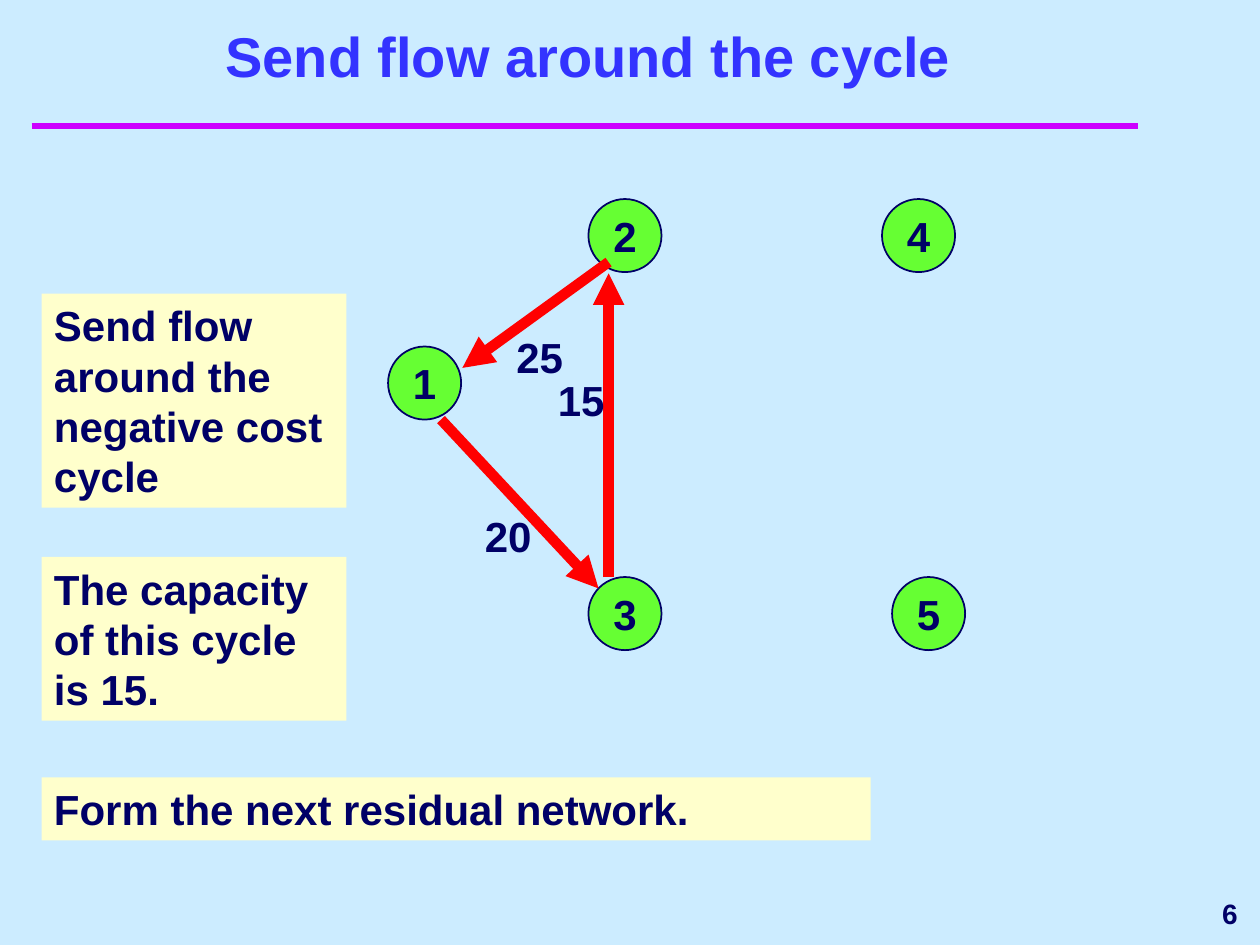
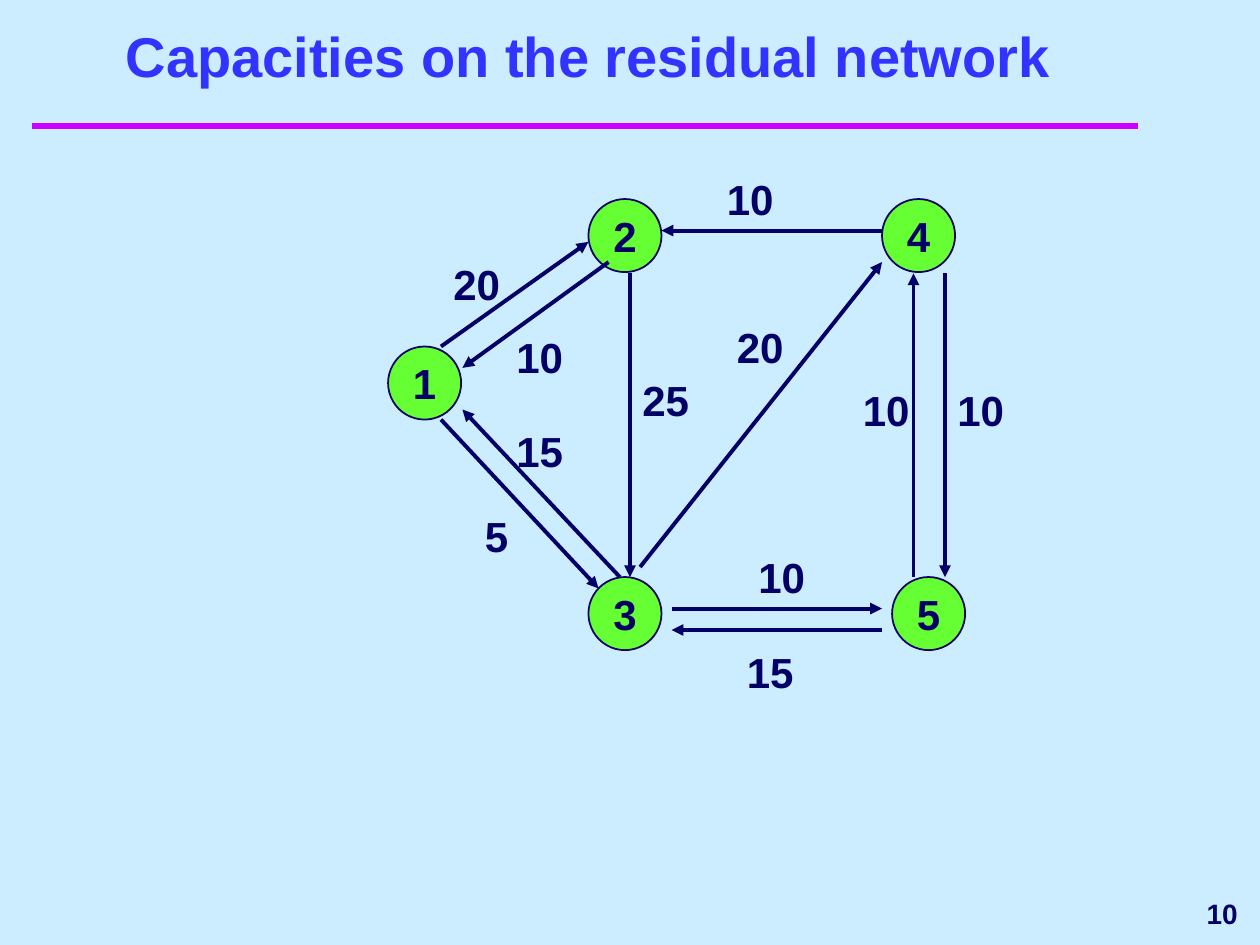
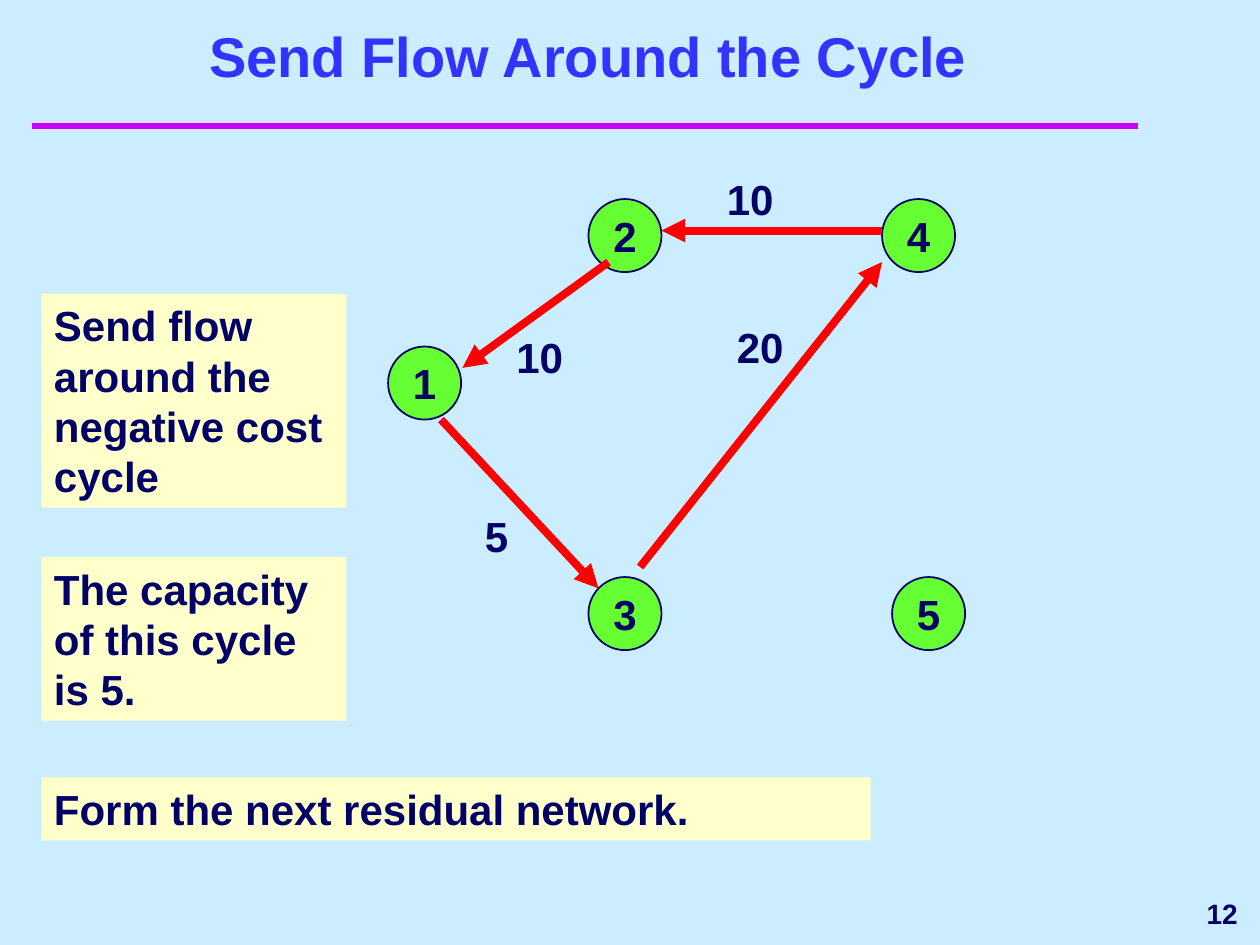
from lxml.etree import SubElement
from pptx import Presentation
from pptx.dml.color import RGBColor
from pptx.enum.shapes import MSO_CONNECTOR, MSO_SHAPE
from pptx.enum.text import MSO_ANCHOR, PP_ALIGN
from pptx.oxml.ns import qn
from pptx.util import Inches, Pt

NAVY, RED, BLUE = "000066", "FF0000", "3333FF"
GREEN, CREAM, SKY, PINK = "66FF33", "FFFFCC", "CCECFF", "CC00FF"

NODES = {"1": (3.08, 2.75), "2": (4.67, 1.58), "4": (7, 1.58),
         "3": (4.67, 4.58), "5": (7.08, 4.58)}

ARCS = {
    "12": ((3.5, 2.75), (4.67, 1.92), (3.5, 2), 1.17),
    "21": ((4.83, 2.08), (3.67, 2.92), (4, 2.58), 1.17),
    "13": ((3.5, 3.33), (4.75, 4.67), (3.75, 4), 0.67),
    "31": ((4.92, 4.58), (3.67, 3.25), (4, 3.33), 1.17),
    "23": ((5, 2.17), (5, 4.58), (5, 2.92), 1.17),
    "32": ((4.83, 4.58), (4.83, 2.17), (4.33, 2.92), 1.17),
    "42": ((7, 1.83), (5.25, 1.83), (5.67, 1.33), 1.17),
    "34": ((5.08, 4.5), (7, 2.08), (5.75, 2.5), 1.17),
    "45": ((7.5, 2.17), (7.5, 4.58), (7.5, 3), 1.17),
    "54": ((7.25, 4.58), (7.25, 2.17), (6.75, 3), 1.17),
    "35": ((5.33, 4.83), (7, 4.83), (5.92, 4.33), 0.67),
    "53": ((7, 5), (5.33, 5), (5.83, 5.08), 1.17),
}


def color(code):
    return RGBColor.from_string(code)


class Deck:
    """Holds the deck style and draws on the current slide."""

    def __init__(self):
        self.prs = Presentation()
        self.prs.slide_width, self.prs.slide_height = Inches(10), Inches(7.5)
        fill = self.prs.slide_master.background.fill
        fill.solid()
        fill.fore_color.rgb = color(SKY)

    def start(self, title, number):
        self.slide = self.prs.slides.add_slide(self.prs.slide_layouts[6])
        self.line((0.25, 1), (9.03, 1), PINK, 4)
        self.text(title, 0.42, 0.33, 8.5, 0.42, 32, BLUE,
                  PP_ALIGN.CENTER, MSO_ANCHOR.BOTTOM)
        self.text(number, 8, 7, 1.92, 0.5, 16, NAVY,
                  PP_ALIGN.RIGHT, MSO_ANCHOR.MIDDLE)

    def label(self, shape, text, size=24, ink=NAVY, align=PP_ALIGN.LEFT,
              anchor=MSO_ANCHOR.TOP, wrap=True):
        frame = shape.text_frame
        frame.word_wrap, frame.vertical_anchor = wrap, anchor
        para = frame.paragraphs[0]
        para.text, para.alignment = text, align
        font = para.font
        font.name, font.size, font.bold = "Arial", Pt(size), True
        font.color.rgb = color(ink)

    def text(self, text, left, top, width, height, *style):
        box = self.slide.shapes.add_textbox(
            Inches(left), Inches(top), Inches(width), Inches(height))
        self.label(box, text, *style)

    def shape(self, kind, left, top, width, height, fill):
        shape = self.slide.shapes.add_shape(
            kind, Inches(left), Inches(top), Inches(width), Inches(height))
        shape.shadow.inherit = False
        shape.fill.solid()
        shape.fill.fore_color.rgb = color(fill)
        return shape

    def note(self, text, top, width, height):
        box = self.shape(MSO_SHAPE.RECTANGLE, 0.33, top, width, height, CREAM)
        box.line.fill.background()
        self.label(box, text)

    def node(self, name, left, top):
        disc = self.shape(MSO_SHAPE.OVAL, left, top, 0.58, 0.58, GREEN)
        disc.line.color.rgb = color(NAVY)
        disc.line.width = Pt(1)
        self.label(disc, name, align=PP_ALIGN.CENTER,
                   anchor=MSO_ANCHOR.MIDDLE, wrap=False)

    def line(self, start, end, ink, width, arrow=False):
        line = self.slide.shapes.add_connector(
            MSO_CONNECTOR.STRAIGHT, *map(Inches, start + end))
        line.line.color.rgb = color(ink)
        line.line.width = Pt(width)
        props = line.element.find(qn("p:spPr"))
        if arrow:
            SubElement(props.find(qn("a:ln")), qn("a:tailEnd"),
                       type="triangle")
        SubElement(props, qn("a:effectLst"))

    def graph(self, flows, ink, width):
        for name, spot in NODES.items():
            self.node(name, *spot)
        for arc in flows:
            start, tip, _, _ = ARCS[arc]
            self.line(start, tip, ink, width, arrow=True)
        for arc, flow in flows.items():
            _, _, spot, wide = ARCS[arc]
            self.text(str(flow), *spot, wide, 0.5)

    def cycle(self, flows, width, least):
        self.graph(flows, RED, width)
        self.note("Send flow around the negative cost cycle", 2.33, 2.42, 1.7)
        self.note(f"The capacity of this cycle is {least}.", 4.42, 2.42, 1.3)
        self.note("Form the next residual network.", 6.17, 6.58, 0.5)


def main():
    deck = Deck()

    deck.start("Send flow around the cycle", "6")
    deck.cycle({"13": 20, "21": 25, "32": 15}, 6, 15)

    deck.start("Capacities on the residual network", "10")
    deck.graph({"12": 20, "21": 10, "13": 5, "31": 15, "23": 25, "42": 10,
                "34": 20, "45": 10, "54": 10, "35": 10, "53": 15}, NAVY, 2.25)

    deck.start("Send Flow Around the Cycle", "12")
    deck.cycle({"42": 10, "13": 5, "34": 20, "21": 10}, 4.5, 5)

    deck.prs.save("out.pptx")


if __name__ == "__main__":
    main()
